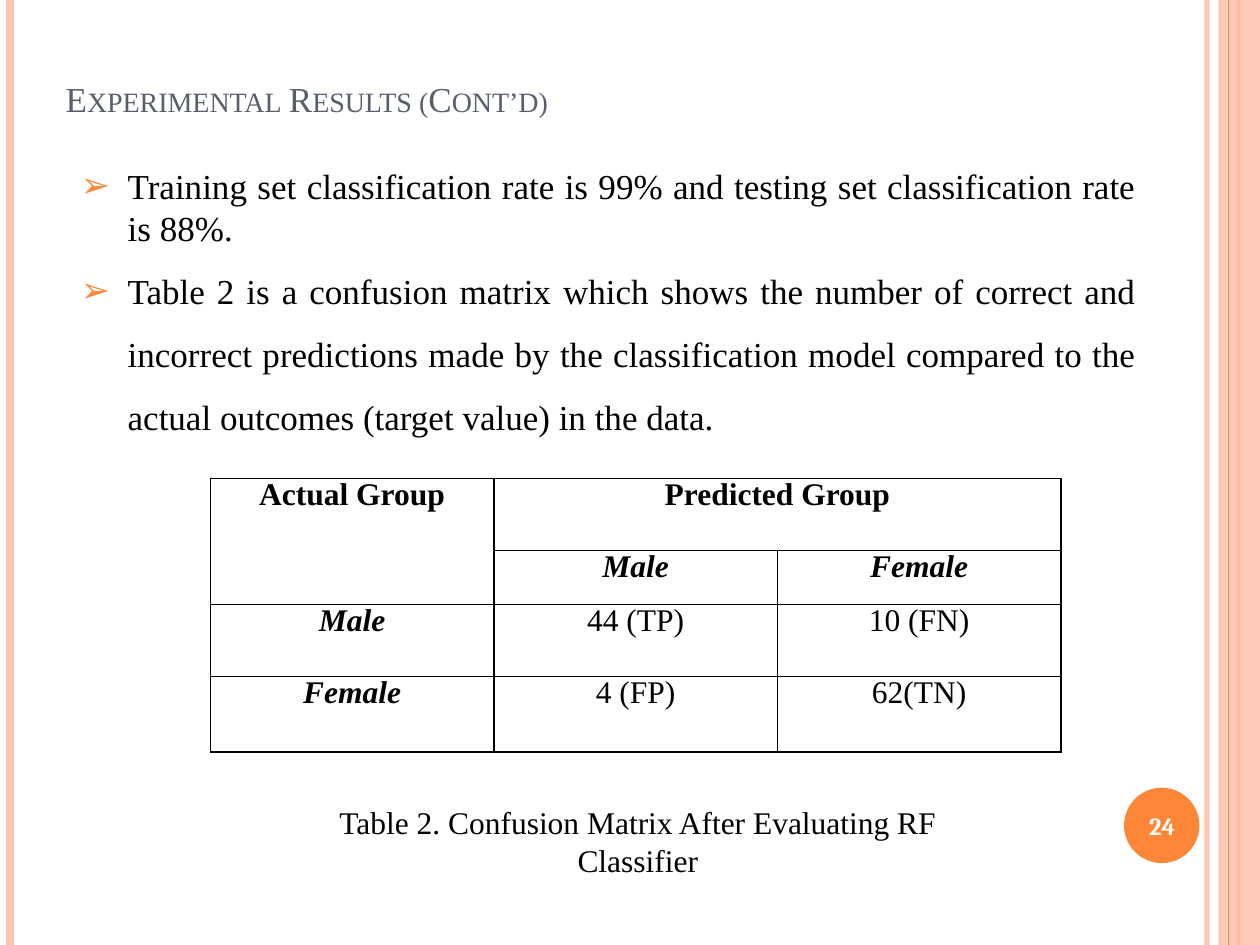
from lxml.etree import SubElement
from pptx import Presentation
from pptx.dml.color import RGBColor
from pptx.enum.shapes import MSO_CONNECTOR, MSO_SHAPE
from pptx.enum.text import MSO_ANCHOR, MSO_AUTO_SIZE, PP_ALIGN
from pptx.oxml import parse_xml
from pptx.oxml.ns import nsdecls, qn
from pptx.util import Cm, Pt

WIDE, HIGH = 25.4, 19.05
ORANGE, PINK, SLATE = "FE8637", "FEC3AE", "575F6D"
BLACK, WHITE = "000000", "FFFFFF"


def paint(target, tone, alpha=None):
    """Give a fill a solid colour, with an optional opacity in percent."""
    target.solid()
    target.fore_color.rgb = RGBColor.from_string(tone)
    if alpha:
        node = target._xPr.find(qn("a:solidFill"))[0]
        SubElement(node, qn("a:alpha"), val=str(alpha * 1000))


def write(para, text, size=18, font="Times New Roman", tone=BLACK, bold=False,
          slant=False, caps=False, align=PP_ALIGN.CENTER, lead=None, after=0):
    """Put one formatted run in a paragraph."""
    para.alignment = align
    para.space_before, para.space_after = Pt(0), Pt(after)
    if lead:
        para.line_spacing = lead
    run = para.add_run()
    run.text = text
    run.font.name, run.font.size = font, Pt(size)
    run.font.bold, run.font.italic = bold, slant
    paint(run.font.fill, tone)
    if caps:
        run._r.get_or_add_rPr().set("cap", "small")


class Deck:
    """Hold the style and the current slide."""

    def __init__(self):
        """Open a deck with one title and body slide."""
        self.prs = Presentation()
        self.prs.slide_width, self.prs.slide_height = Cm(WIDE), Cm(HIGH)
        self.slide = self.prs.slides.add_slide(self.prs.slide_layouts[1])
        self.shapes = self.slide.shapes

    def place(self, shape, *box):
        """Move and size a shape."""
        shape.left, shape.top, shape.width, shape.height = map(Cm, box)

    def stripe(self, x, width, tone, alpha=None):
        """Draw a line down the whole slide."""
        line = self.shapes.add_connector(
            MSO_CONNECTOR.STRAIGHT, Cm(x), Cm(0), Cm(x), Cm(HIGH))
        line.line.width = Pt(width)
        paint(line.line.fill, tone, alpha)
        SubElement(line._element.spPr, qn("a:effectLst"))

    def block(self, kind, box, tone, alpha=None):
        """Draw a plain filled shape."""
        shape = self.shapes.add_shape(kind, *map(Cm, box))
        shape.shadow.inherit = False
        shape.line.fill.background()
        paint(shape.fill, tone, alpha)

    def title(self, text, *box):
        """Fill the title placeholder."""
        shape = self.shapes.title
        self.place(shape, *box)
        frame = shape.text_frame
        frame.vertical_anchor = MSO_ANCHOR.BOTTOM
        write(frame.paragraphs[0], text, size=20, tone=SLATE, caps=True,
              align=PP_ALIGN.LEFT)

    def body(self, items, *box):
        """Fill the body placeholder with arrow bullets."""
        shape = self.slide.placeholders[1]
        self.place(shape, *box)
        frame = shape.text_frame
        frame.auto_size = MSO_AUTO_SIZE.SHAPE_TO_FIT_TEXT
        for i, (text, lead) in enumerate(items):
            para = frame.add_paragraph() if i else frame.paragraphs[0]
            write(para, text, size=20, align=PP_ALIGN.JUSTIFY, lead=lead)
            props = para._p.get_or_add_pPr()
            props.set("marL", str(Cm(0.95)))
            props.set("indent", str(Cm(-0.95)))
            hue = SubElement(props, qn("a:buClr"))
            SubElement(hue, qn("a:srgbClr"), val=ORANGE)
            SubElement(props, qn("a:buChar"), char="➢")

    def label(self, text, *box, **style):
        """Add a wrapped, centred text box."""
        frame = self.shapes.add_textbox(*map(Cm, box)).text_frame
        frame.word_wrap = True
        frame.vertical_anchor = MSO_ANCHOR.MIDDLE
        write(frame.paragraphs[0], text, **style)

    def cell(self, cell, text, **style):
        """Clear the fill, rule the edges and write the text of a cell."""
        cell.fill.background()
        cell.margin_left = cell.margin_right = Cm(0.18)
        cell.margin_top = cell.margin_bottom = 0
        props = cell._tc.get_or_add_tcPr()
        for i, side in enumerate("LRTB"):
            props.insert(i, parse_xml(
                f'<a:ln{side} {nsdecls("a")} w="{Pt(1)}"><a:solidFill>'
                f'<a:srgbClr val="{BLACK}"/></a:solidFill></a:ln{side}>'))
        if text:
            write(cell.text_frame.paragraphs[0], text, lead=0.95, after=6,
                  **style)

    def table(self, rows, highs, spans, *box):
        """Add a ruled table with two head rows and a head column."""
        grid = self.shapes.add_table(
            len(rows), len(rows[0]), *map(Cm, box)).table
        grid.first_row = grid.horz_banding = False
        for row, high in zip(grid.rows, highs):
            row.height = Cm(high)
        for start, end in spans:
            grid.cell(*start).merge(grid.cell(*end))
        for r, row in enumerate(rows):
            for c, text in enumerate(row):
                head = r < 2 or c == 0
                self.cell(grid.cell(r, c), text, bold=head,
                          slant=head and r > 0)


def main():
    """Build the slide and save it."""
    deck = Deck()
    deck.stripe(24.33, 3, PINK, 93)
    deck.stripe(0.2, 4.5, PINK)
    deck.stripe(24.97, 1.5, ORANGE)
    deck.block(MSO_SHAPE.RECTANGLE, (24.56, 0, 0.84, HIGH), PINK, 87)
    deck.stripe(24.77, 0.75, ORANGE)
    deck.block(MSO_SHAPE.OVAL, (22.66, 15.88, 1.52, 1.52), ORANGE)
    deck.title("Experimental Results (Cont’d)", 1.07, -0.64, 20.75, 3.18)
    deck.label("24", 22.58, 15.93, 1.7, 1.45, size=14, font="Cambria",
               tone=WHITE, bold=True)
    deck.body([
        ("Training set classification rate is 99% and testing set "
         "classification rate is 88%.", None),
        ("Table 2 is a confusion matrix which shows the number of correct "
         "and incorrect predictions made by the classification model "
         "compared to the actual outcomes (target value) in the data.", 1.5),
    ], 1.37, 3.18, 21.79, 6.58)
    deck.label("Table 2. Confusion Matrix After Evaluating RF Classifier",
               5.66, 16.06, 14.4, 1.8)
    deck.table([
        ("Actual Group", "Predicted Group", ""),
        ("", "Male", "Female"),
        ("Male", "44 (TP)", "10 (FN)"),
        ("Female", "4 (FP)", "62(TN)"),
    ], (1.45, 1.09, 1.45, 1.52), [((0, 0), (1, 0)), ((0, 1), (0, 2))],
        4.24, 9.65, 17.15, 5.51)
    deck.prs.save("out.pptx")


if __name__ == "__main__":
    main()
